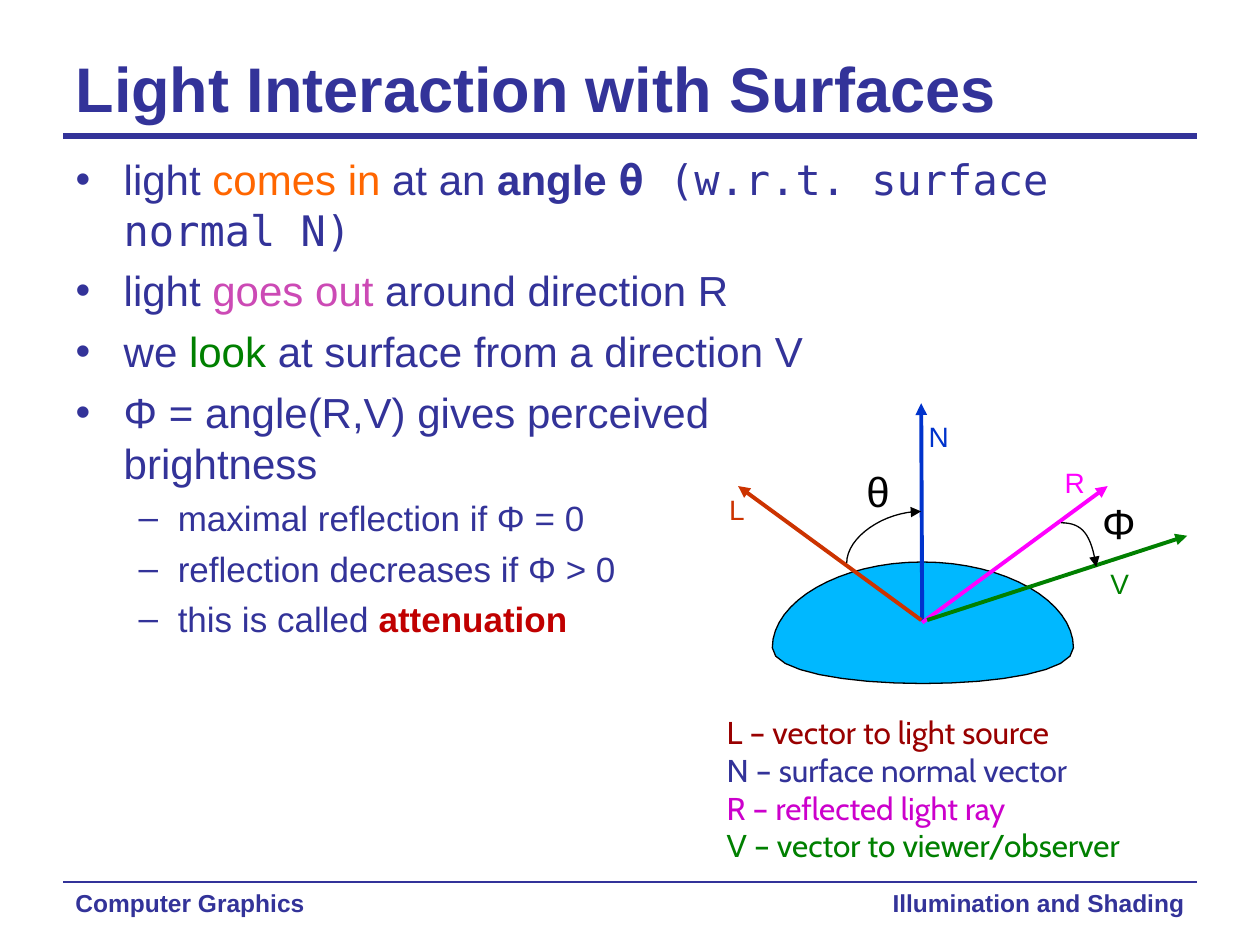
from dataclasses import dataclass

from lxml import etree
from pptx import Presentation
from pptx.dml.color import RGBColor
from pptx.enum.shapes import MSO_CONNECTOR
from pptx.enum.text import MSO_ANCHOR, MSO_AUTO_SIZE, PP_ALIGN
from pptx.oxml.ns import qn
from pptx.util import Cm, Pt

STRAIGHT = MSO_CONNECTOR.STRAIGHT
LEFT, CENTER, RIGHT = PP_ALIGN.LEFT, PP_ALIGN.CENTER, PP_ALIGN.RIGHT
TOP, MIDDLE = MSO_ANCHOR.TOP, MSO_ANCHOR.MIDDLE
NO_AUTOSIZE = MSO_AUTO_SIZE.NONE
CURVE_STEPS = 16


@dataclass(frozen=True)
class Theme:
    sans: str = "Arial"
    legend_font: str = "Cabin"
    mono: str = "DejaVu Sans Mono"
    main: str = "333399"
    black: str = "000000"
    incoming: str = "FF6600"
    outgoing: str = "CC4AB5"
    green: str = "008000"
    emphasis: str = "C00000"
    dome: str = "00B8FF"
    normal: str = "0033CC"
    reflected: str = "FF00FF"
    light: str = "CC3300"
    legend_light: str = "990000"
    legend_reflected: str = "CC00CC"
    title_size: int = 36
    body_size: int = 24
    sub_size: int = 20
    legend_size: int = 18
    label_size: int = 16
    footer_size: int = 14


THEME = Theme()


@dataclass(frozen=True)
class Box:
    left: float
    top: float
    width: float
    height: float

    def inner(self, left, top, width, height):
        return Box(self.left + left, self.top + top, width, height)

    def point(self, x, y):
        return Cm(self.left + x), Cm(self.top + y)


def place(shape, box):
    shape.left, shape.top = box.point(0, 0)
    shape.width, shape.height = Cm(box.width), Cm(box.height)


def style_runs(paragraph, size, color=THEME.main, bold=False, font=THEME.sans):
    for run in paragraph.runs:
        run.font.name = font
        run.font.size = Pt(size)
        run.font.bold = bold
        run.font.color.rgb = RGBColor.from_string(color)


def add_text(slide, box, text, size, color, align=LEFT, bold=False, wrap=True):
    shape = slide.shapes.add_textbox(*box.point(0, 0), Cm(box.width), Cm(box.height))
    text_frame = shape.text_frame
    text_frame.word_wrap = wrap
    text_frame.text = text
    paragraph = text_frame.paragraphs[0]
    paragraph.alignment = align
    style_runs(paragraph, size, color, bold)


def style_line(shape, color, width, arrow):
    shape.line.color.rgb = RGBColor.from_string(color)
    shape.line.width = Pt(width)
    if arrow:
        line = shape.element.spPr.find(qn("a:ln"))
        etree.SubElement(line, qn("a:tailEnd"), type="triangle")


def add_line(slide, start, end, color, width, arrow=False):
    connector = slide.shapes.add_connector(STRAIGHT, *start, *end)
    style_line(connector, color, width, arrow)
    etree.SubElement(connector.element.spPr, qn("a:effectLst"))


def curve_points(start, first, second, end):
    for step in range(1, CURVE_STEPS + 1):
        t = step / CURVE_STEPS
        weights = ((1 - t) ** 3, 3 * t * (1 - t) ** 2, 3 * t * t * (1 - t), t**3)
        yield tuple(
            sum(weight * value for weight, value in zip(weights, axis))
            for axis in zip(start, first, second, end)
        )


def add_curve(slide, box, start, curves, fill=None):
    builder = slide.shapes.build_freeform(*box.point(*start))
    for curve in curves:
        points = [box.point(*point) for point in curve_points(start, *curve)]
        builder.add_line_segments(points, close=False)
        start = curve[-1]
    if fill:
        builder.add_line_segments([], close=True)
    shape = builder.convert_to_shape()
    shape.shadow.inherit = False
    if fill:
        shape.fill.solid()
        shape.fill.fore_color.rgb = RGBColor.from_string(fill)
    else:
        shape.fill.background()
    style_line(shape, THEME.black, 0.75, arrow=not fill)


def add_header(slide, box):
    title = slide.shapes.title
    place(title, box)
    text_frame = title.text_frame
    text_frame.text = "Light Interaction with Surfaces"
    text_frame.vertical_anchor = MIDDLE
    text_frame.auto_size = NO_AUTOSIZE
    text_frame.paragraphs[0].alignment = LEFT
    style_runs(text_frame.paragraphs[0], THEME.title_size, bold=True)
    add_line(slide, box.point(0, box.height), box.point(box.width, box.height), THEME.main, 3)


def add_footer(slide, box):
    add_line(slide, box.point(0, 0), box.point(box.width, 0), THEME.main, 1.5)
    course = box.inner(0, 0, 9.52, box.height)
    topic = box.inner(15.04, 0, 7.82, box.height)
    for part, text, align in ((course, "Computer Graphics", LEFT),
                              (topic, "Illumination and Shading", RIGHT)):
        add_text(slide, part, text, THEME.footer_size, THEME.main, align, bold=True)


def add_bullets(slide, box):
    plain = {}
    items = [
        (0, [("light ", plain), ("comes in ", {"color": THEME.incoming}),
             ("at an ", plain), ("angle ", {"bold": True}),
             ("θ", {"bold": True, "font": THEME.mono}),
             (" (w.r.t. surface normal N)", {"font": THEME.mono})]),
        (0, [("light ", plain), ("goes out ", {"color": THEME.outgoing}),
             ("around direction R", plain)]),
        (0, [("we ", plain), ("look", {"color": THEME.green}),
             (" at surface from a direction V", plain)]),
        (0, [("Φ = angle(R,V) gives perceived\vbrightness", plain)]),
        (1, [("maximal reflection if Φ = 0", plain)]),
        (1, [("reflection decreases if Φ > 0", plain)]),
        (1, [("this is called ", plain),
             ("attenuation", {"color": THEME.emphasis, "bold": True})]),
    ]
    levels = [(0.97, 0.97, "•", THEME.body_size, 6), (2.06, 0.79, "–", THEME.sub_size, 5)]
    body = slide.placeholders[1]
    place(body, box)
    text_frame = body.text_frame
    text_frame.vertical_anchor = TOP
    text_frame.auto_size = NO_AUTOSIZE
    for index, (level, parts) in enumerate(items):
        paragraph = text_frame.add_paragraph() if index else text_frame.paragraphs[0]
        margin, hanging, bullet, size, space = levels[level]
        paragraph.level = level
        properties = paragraph._p.get_or_add_pPr()
        properties.set("marL", str(Cm(margin)))
        properties.set("indent", str(-Cm(hanging)))
        etree.SubElement(properties, qn("a:buFont"), typeface=THEME.sans)
        etree.SubElement(properties, qn("a:buChar"), char=bullet)
        paragraph.space_before = Pt(space if index else 0)
        if len(parts) == 1:
            paragraph.text = parts[0][0]
            style_runs(paragraph, size)
            continue
        for text, _ in parts:
            paragraph.add_run().text = text
        style_runs(paragraph, size)
        for run, (_, style) in zip(paragraph.runs, parts):
            run.font.name = style.get("font", THEME.sans)
            run.font.bold = style.get("bold", False)
            run.font.color.rgb = RGBColor.from_string(style.get("color", THEME.main))


def add_diagram(slide, box):
    add_curve(slide, box, (1.17, 4.96), [
        ((1.17, 4.02), (2.54, 3.23), (4.19, 3.23)),
        ((5.87, 3.23), (7.24, 4.02), (7.24, 4.96)),
        ((7.24, 5.92), (1.17, 5.92), (1.17, 4.96)),
    ], fill=THEME.dome)
    vectors = [
        ("N", THEME.normal, (4.19, 4.42), (4.17, 0.03), (4.07, 0.23)),
        ("R", THEME.reflected, (4.19, 4.45), (7.93, 1.7), (6.81, 1.17)),
        ("L", THEME.light, (4.17, 4.4), (0.48, 1.7), (0, 1.7)),
        ("V", THEME.green, (4.29, 4.4), (9.53, 2.7), (7.72, 3.2)),
    ]
    for name, color, start, end, corner in vectors:
        add_line(slide, box.point(*start), box.point(*end), color, 2.25, arrow=True)
        add_text(slide, box.inner(*corner, 0.91, 0.94), name,
                 THEME.label_size, color, CENTER, wrap=False)
    angles = [
        ("θ", (2.75, 1.15), (2.67, 3.25), ((2.67, 2.73), (3.42, 2.21), (4.17, 2.21))),
        ("Φ", (7.57, 1.81), (6.99, 2.44), ((7.42, 2.44), (7.6, 2.67), (7.7, 3.33))),
    ]
    for name, corner, start, curve in angles:
        add_curve(slide, box, start, [curve])
        add_text(slide, box.inner(*corner, 1.1, 1.27), name,
                 THEME.body_size, THEME.black, CENTER, wrap=False)


def add_legend(slide, box):
    entries = [
        ("L – vector to light source", THEME.legend_light),
        ("N – surface normal vector", THEME.main),
        ("R – reflected light ray", THEME.legend_reflected),
        ("V – vector to viewer/observer", THEME.green),
    ]
    shape = slide.shapes.add_textbox(*box.point(0, 0), Cm(box.width), Cm(box.height))
    text_frame = shape.text_frame
    text_frame.word_wrap = True
    text_frame.text = "\n".join(text for text, _ in entries)
    for paragraph, (_, color) in zip(text_frame.paragraphs, entries):
        style_runs(paragraph, THEME.legend_size, color, font=THEME.legend_font)


def main():
    presentation = Presentation()
    presentation.slide_width, presentation.slide_height = Cm(25.4), Cm(19.05)
    slide = presentation.slides.add_slide(presentation.slide_layouts[1])
    add_header(slide, Box(1.27, 0.76, 22.86, 1.98))
    add_bullets(slide, Box(1.27, 2.97, 22.86, 14.6))
    add_diagram(slide, Box(14.4, 8.1, 9.53, 5.92))
    add_legend(slide, Box(14.4, 14.25, 8.81, 3.3))
    add_footer(slide, Box(1.27, 17.78, 22.86, 0.89))
    presentation.save("out.pptx")


if __name__ == "__main__":
    main()
